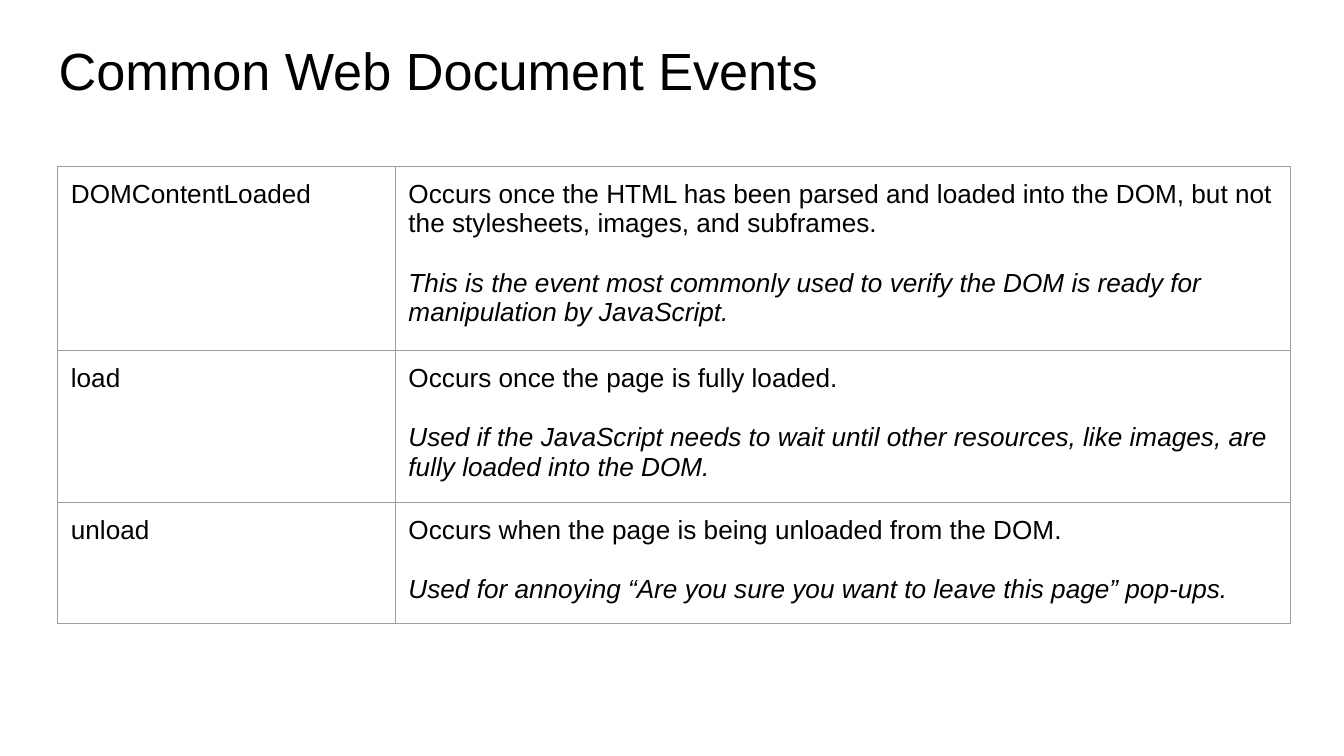
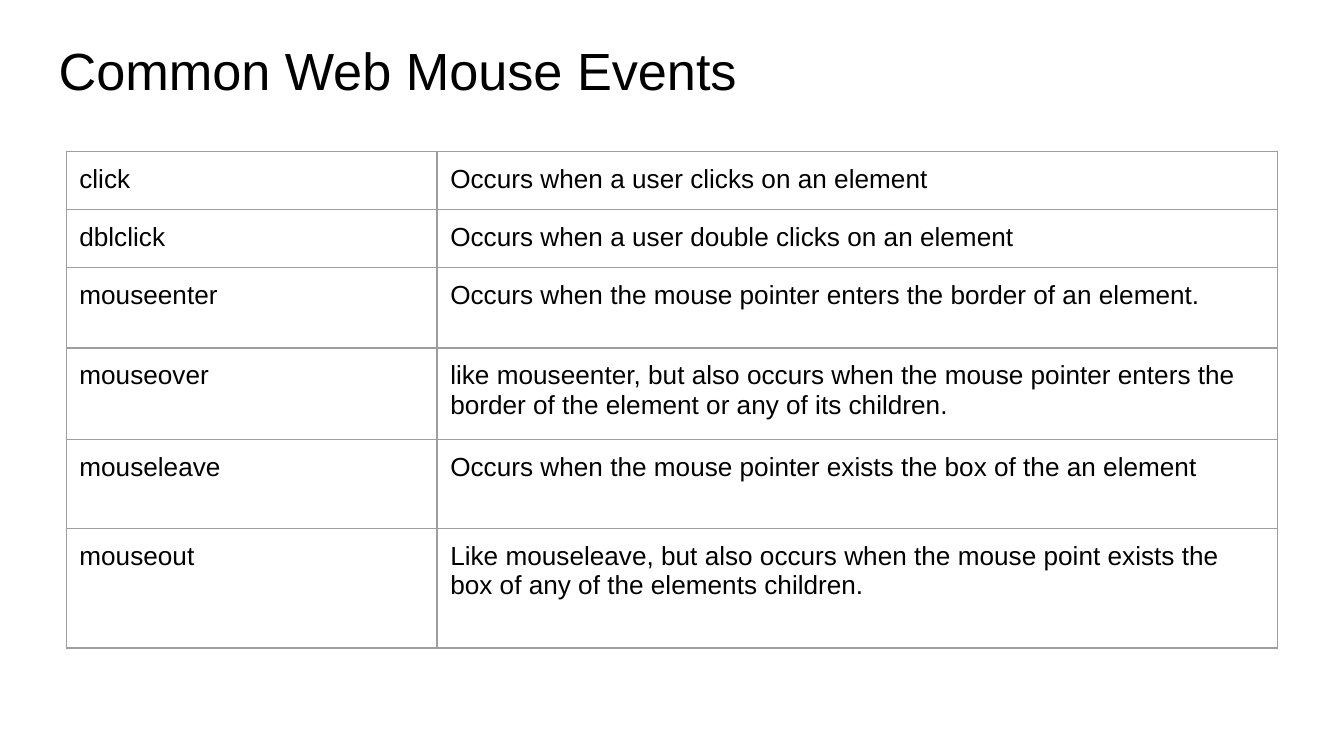
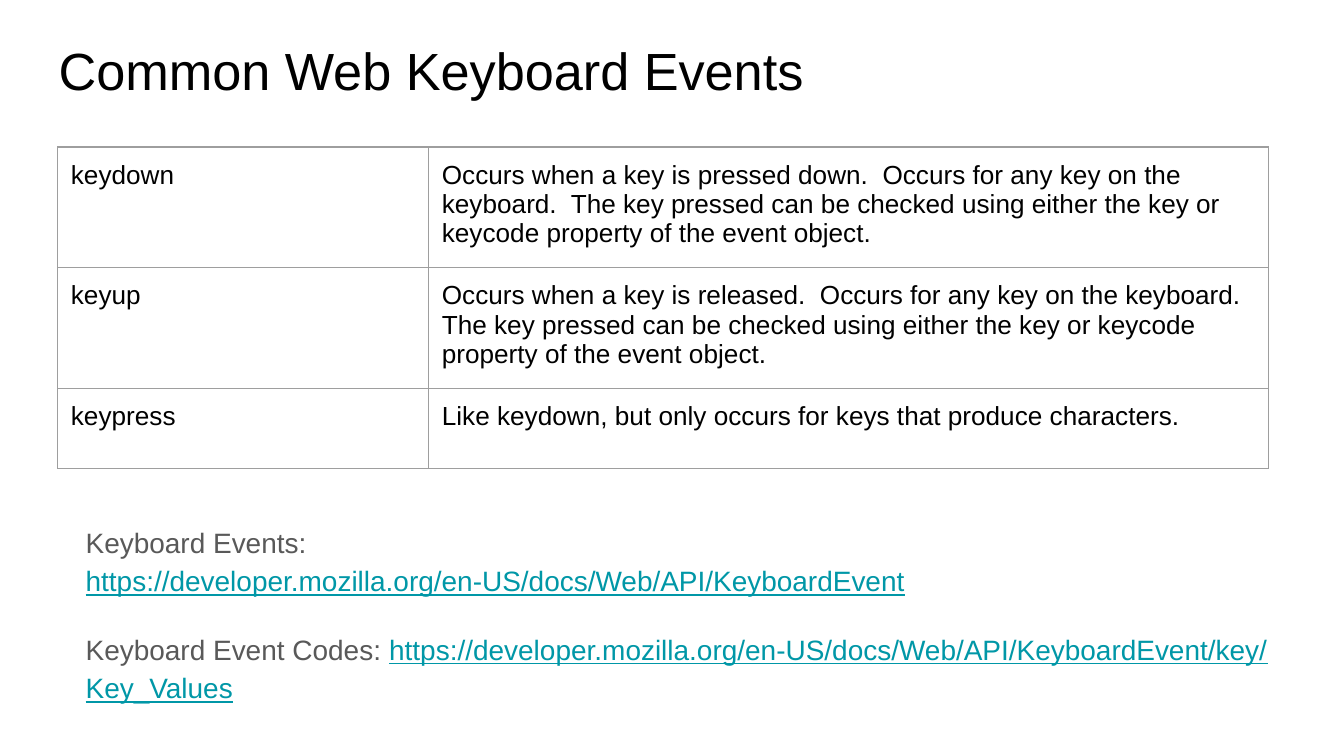
from lxml.etree import SubElement
from pptx import Presentation
from pptx.dml.color import RGBColor
from pptx.enum.text import MSO_ANCHOR
from pptx.oxml.ns import qn
from pptx.util import Cm, Pt

BLACK = RGBColor(0x00, 0x00, 0x00)
GREY = RGBColor(0x59, 0x59, 0x59)
TEAL = RGBColor(0x00, 0x97, 0xA7)
BORDER = RGBColor(0x9E, 0x9E, 0x9E)

TITLE = {"name": "Arial", "size": Pt(28), "color": BLACK}
BODY = {"name": "Arial", "size": Pt(14), "color": BLACK}
REMARK = {**BODY, "italic": True}
LABEL = {"name": "Arial", "size": Pt(15), "color": GREY}
ADDRESS = {**LABEL, "color": TEAL, "underline": True}

INSETS = dict.fromkeys(("margin_left", "margin_right", "margin_top", "margin_bottom"), Cm(0.25))
TITLE_BOX = (0.86, 0.48, 16.8, 1.6)
REFERENCE_BOX = (1.37, 9.58, 23.47, 3.94)
WIDE_COLUMNS = (6.38, 16.92)
EVEN_COLUMNS = (7.01, 15.88)

DOCUMENT_EVENTS = [
    ("DOMContentLoaded",
     "Occurs once the HTML has been parsed and loaded into the DOM, but not the stylesheets, images, and subframes.",
     "This is the event most commonly used to verify the DOM is ready for manipulation by JavaScript."),
    ("load",
     "Occurs once the page is fully loaded.",
     "Used if the JavaScript needs to wait until other resources, like images, are fully loaded into the DOM."),
    ("unload",
     "Occurs when the page is being unloaded from the DOM.",
     "Used for annoying “Are you sure you want to leave this page” pop-ups."),
]
MOUSE_EVENTS = [
    ("click", "Occurs when a user clicks on an element"),
    ("dblclick", "Occurs when a user double clicks on an element"),
    ("mouseenter", "Occurs when the mouse pointer enters the border of an element."),
    ("mouseover",
     "like mouseenter, but also occurs when the mouse pointer enters the border of the element or any of its children."),
    ("mouseleave", "Occurs when the mouse pointer exists the box of the an element"),
    ("mouseout",
     "Like mouseleave, but also occurs when the mouse point exists the box of any of the elements children."),
]
KEY_CHECK = ("Occurs for any key on the keyboard.  The key pressed can be checked "
             "using either the key or keycode property of the event object.")
KEYBOARD_EVENTS = [
    ("keydown", f"Occurs when a key is pressed down.  {KEY_CHECK}"),
    ("keyup", f"Occurs when a key is released.  {KEY_CHECK}"),
    ("keypress", "Like keydown, but only occurs for keys that produce characters."),
]
KEYBOARD_ADDRESS = "https://developer.mozilla.org/en-US/docs/Web/API/KeyboardEvent"


def set_values(target, values):
    """Set every named value on the target object."""
    for name, value in values.items():
        setattr(target, name, value)


def add_span(para, text, style):
    """Append a formatted span to a paragraph."""
    span = para.add_run()
    span.text = text
    for name, value in style.items():
        if name == "color":
            span.font.color.rgb = value
        else:
            setattr(span.font, name, value)


def add_text_frame(page, box):
    """Add a wrapping text box and return its frame."""
    frame = page.shapes.add_textbox(*map(Cm, box)).text_frame
    set_values(frame, {**INSETS, "word_wrap": True, "vertical_anchor": MSO_ANCHOR.TOP})
    return frame


def add_borders(cell):
    """Draw a thin line on the four sides of a cell."""
    properties = cell._tc.get_or_add_tcPr()
    for side in ("lnL", "lnR", "lnT", "lnB"):
        line = SubElement(properties, qn(f"a:{side}"), w=str(Pt(0.75)))
        fill = SubElement(line, qn("a:solidFill"))
        SubElement(fill, qn("a:srgbClr"), val=str(BORDER))


def fill_cell(cell, text, remark=None):
    """Write a cell's text with an optional italic remark below it."""
    set_values(cell, INSETS)
    add_borders(cell)
    cell.fill.background()
    frame = cell.text_frame
    add_span(frame.paragraphs[0], text, BODY)
    if remark:
        para = frame.add_paragraph()
        para.space_before = Pt(16)
        add_span(para, remark, REMARK)


def add_event_table(page, left, top, columns, heights, events):
    """Add a table with one event per row."""
    box = map(Cm, (left, top, sum(columns), sum(heights)))
    table = page.shapes.add_table(len(events), len(columns), *box).table
    set_values(table, {"first_row": False, "horz_banding": False})
    for column, width in zip(table.columns, columns):
        column.width = Cm(width)
    for row, height, (event, *description) in zip(table.rows, heights, events):
        row.height = Cm(height)
        fill_cell(row.cells[0], event)
        fill_cell(row.cells[1], *description)


def add_references(page, box):
    """Add the labelled web addresses for keyboard events."""
    frame = add_text_frame(page, box)
    first, second = frame.paragraphs[0], frame.add_paragraph()
    set_values(first, {"line_spacing": 1.15})
    set_values(second, {"line_spacing": 1.15, "space_before": Pt(16), "space_after": Pt(16)})
    add_span(first, "Keyboard Events: ", LABEL)
    first.add_line_break()
    add_span(first, KEYBOARD_ADDRESS, ADDRESS)
    add_span(second, "Keyboard Event Codes: ", LABEL)
    add_span(second, f"{KEYBOARD_ADDRESS}/key/Key_Values", ADDRESS)


def add_event_page(deck, title, *table):
    """Add a page with a title and an event table."""
    page = deck.slides.add_slide(deck.slide_layouts[6])
    add_span(add_text_frame(page, TITLE_BOX).paragraphs[0], title, TITLE)
    add_event_table(page, *table)
    return page


def main():
    """Build and save the deck."""
    deck = Presentation()
    set_values(deck, {"slide_width": Cm(25.4), "slide_height": Cm(14.29)})
    add_event_page(deck, "Common Web Document Events", 1.09, 3.15,
                   WIDE_COLUMNS, (3.48, 2.87, 2.29), DOCUMENT_EVENTS)
    add_event_page(deck, "Common Web Mouse Events", 1.25, 2.87,
                   EVEN_COLUMNS, (1.09, 1.09, 1.52, 1.73, 1.68, 2.26), MOUSE_EVENTS)
    page = add_event_page(deck, "Common Web Keyboard Events", 1.09, 2.78,
                          EVEN_COLUMNS, (2.17, 2.17, 1.52), KEYBOARD_EVENTS)
    add_references(page, REFERENCE_BOX)
    deck.save("out.pptx")


if __name__ == "__main__":
    main()
